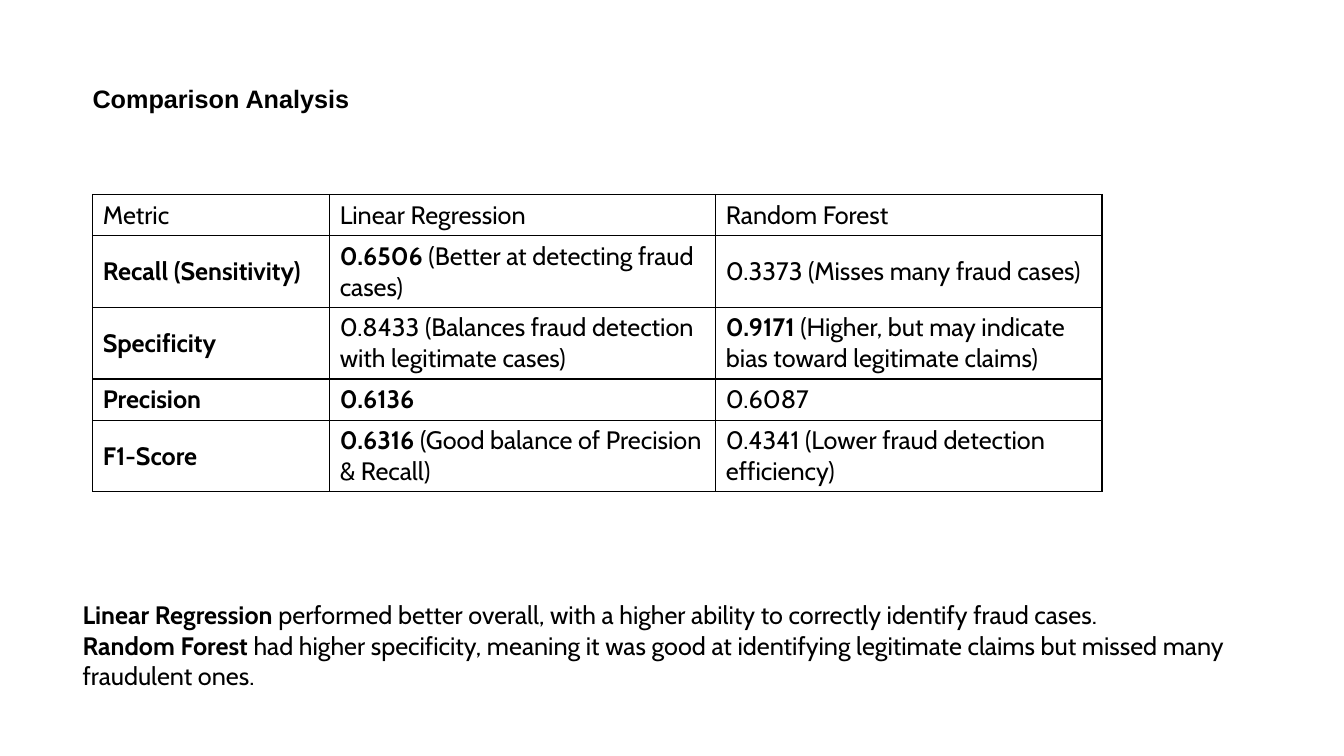
from lxml.etree import SubElement
from pptx import Presentation
from pptx.dml.color import RGBColor
from pptx.enum.text import MSO_ANCHOR, MSO_AUTO_SIZE
from pptx.oxml.ns import qn
from pptx.util import Inches, Pt

BLACK = RGBColor(0x00, 0x00, 0x00)

# Content: each text is a list of paragraphs, each a (bold part, regular part) pair
HEADING = [("Comparison Analysis", "")]
METRICS = [
    [("", "Metric"), ("", "Linear Regression"), ("", "Random Forest")],
    [("Recall (Sensitivity)", ""),
     ("0.6506", " (Better at detecting fraud cases)"),
     ("", "0.3373 (Misses many fraud cases)")],
    [("Specificity", ""),
     ("", "0.8433 (Balances fraud detection with legitimate cases)"),
     ("0.9171", " (Higher, but may indicate bias toward legitimate claims)")],
    [("Precision", ""), ("0.6136", ""), ("", "0.6087")],
    [("F1-Score", ""),
     ("0.6316", " (Good balance of Precision & Recall)"),
     ("", "0.4341 (Lower fraud detection efficiency)")],
]
CONCLUSIONS = [
    ("Linear Regression",
     " performed better overall, with a higher ability to correctly identify fraud cases."),
    ("Random Forest",
     " had higher specificity, meaning it was good at identifying legitimate claims"
     " but missed many fraudulent ones."),
]
COLUMN_WIDTHS = [2.35, 3.83, 3.83]
ROW_HEIGHTS = [0.41, 0.71, 0.71, 0.41, 0.71]


def write_text(frame, paragraphs, font="Cabin", size=18, color=BLACK):
    frame.word_wrap = True
    for index, parts in enumerate(paragraphs):
        paragraph = frame.add_paragraph() if index else frame.paragraphs[0]
        for part, bold in zip(parts, (True, False)):
            if part:
                run = paragraph.add_run()
                run.text = part
                run.font.name = font
                run.font.size = Pt(size)
                run.font.bold = bold
                run.font.color.rgb = color


def add_text(slide, paragraphs, box, **text_format):
    frame = slide.shapes.add_textbox(*map(Inches, box)).text_frame
    write_text(frame, paragraphs, **text_format)
    frame.auto_size = MSO_AUTO_SIZE.SHAPE_TO_FIT_TEXT


def style_cell(cell):
    cell.vertical_anchor = MSO_ANCHOR.MIDDLE
    properties = cell._tc.get_or_add_tcPr()
    for side in ("a:lnL", "a:lnR", "a:lnT", "a:lnB"):
        border = SubElement(properties, qn(side), w=str(Pt(1)))
        line_fill = SubElement(border, qn("a:solidFill"))
        SubElement(line_fill, qn("a:srgbClr"), val=str(BLACK))
    cell.fill.background()


def add_metrics(slide, left, top):
    table = slide.shapes.add_table(
        len(METRICS), len(COLUMN_WIDTHS), Inches(left), Inches(top),
        Inches(sum(COLUMN_WIDTHS)), Inches(sum(ROW_HEIGHTS))).table
    table.first_row = table.horz_banding = False
    for column, width in zip(table.columns, COLUMN_WIDTHS):
        column.width = Inches(width)
    for row, height, entries in zip(table.rows, ROW_HEIGHTS, METRICS):
        row.height = Inches(height)
        for cell, entry in zip(row.cells, entries):
            write_text(cell.text_frame, [entry])
            style_cell(cell)


def main():
    deck = Presentation()
    deck.slide_width, deck.slide_height = Inches(13.33), Inches(7.5)
    slide = deck.slides.add_slide(deck.slide_layouts[6])

    # Heading, comparison table, conclusions
    add_text(slide, HEADING, (0.82, 0.78, 6.67, 0.4), font="Arial")
    add_metrics(slide, 0.92, 1.93)
    add_text(slide, CONCLUSIONS, (0.72, 5.9, 11.92, 1.31))

    deck.save("out.pptx")


if __name__ == "__main__":
    main()
